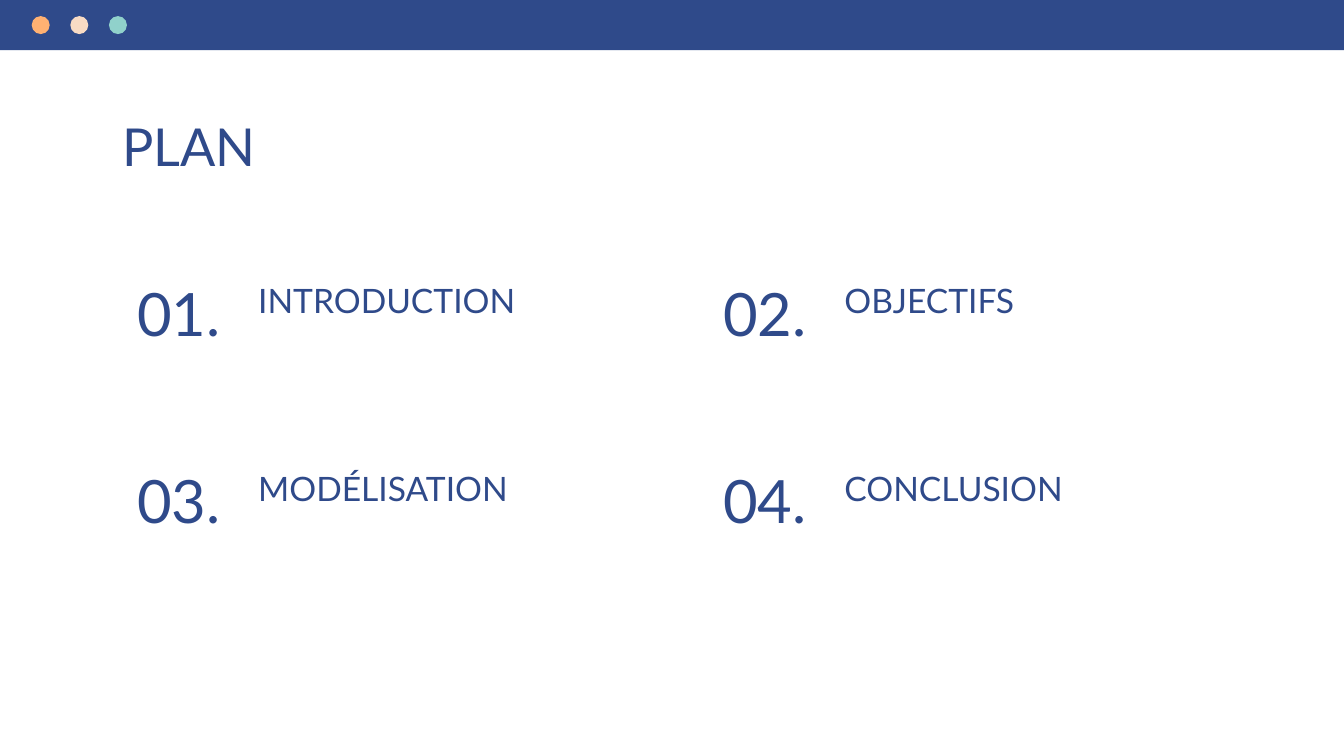
from dataclasses import dataclass

from lxml.etree import SubElement
from pptx import Presentation
from pptx.dml.color import RGBColor as RGB
from pptx.enum.shapes import MSO_SHAPE as Shape
from pptx.enum.text import MSO_ANCHOR as Anchor, MSO_AUTO_SIZE as Fit, PP_ALIGN as Align
from pptx.oxml.ns import qn
from pptx.util import Cm, Pt


@dataclass(frozen=True)
class Theme:
    font: str = "Lato"
    ink: str = "2F4A8A"
    paper: str = "FFFFFF"
    dots: tuple = ("FFB172", "F8DBC4", "90D1CB")
    title: int = 28
    number: int = 32
    label: int = 18


THEME = Theme()
ITEMS = ("INTRODUCTION", "OBJECTIFS", "MODÉLISATION", "CONCLUSION")


def place(shape, box):
    shape.left, shape.top, shape.width, shape.height = (Cm(n) for n in box)


def write(shape, text, size, align=Align.LEFT, anchor=Anchor.TOP):
    frame = shape.text_frame
    frame.text = text
    frame.word_wrap = True
    frame.auto_size = Fit.NONE
    frame.vertical_anchor = anchor
    frame.margin_left = frame.margin_right = Cm(0.25)
    frame.margin_top = frame.margin_bottom = Cm(0.25)
    para = frame.paragraphs[0]
    props = para._p.get_or_add_pPr()
    props.set("marL", "0")
    props.set("indent", "0")
    SubElement(props, qn("a:buNone"))
    para.alignment = align
    para.space_before = Pt(0)
    font = para.runs[0].font
    font.name, font.size, font.bold = THEME.font, Pt(size), False
    font.color.rgb = RGB.from_string(THEME.ink)


def draw(slide, kind, box, color):
    """Add a flat shape without outline."""
    shape = slide.shapes.add_shape(kind, *(Cm(n) for n in box))
    shape.shadow.inherit = False
    shape.fill.solid()
    shape.fill.fore_color.rgb = RGB.from_string(color)
    shape.line.fill.background()


def add_bar(slide, box):
    """Draw the window bar with its three buttons."""
    left, top, _, height = box
    draw(slide, Shape.RECTANGLE, box, THEME.ink)
    size, step = 0.34, 0.73
    for i, color in enumerate(THEME.dots):
        dot = (left + 0.6 + i * step, top + (height - size) / 2, size, size)
        draw(slide, Shape.OVAL, dot, color)


def add_title(slide, box):
    place(slide.shapes.title, box)
    write(slide.shapes.title, "PLAN", THEME.title)


def add_item(slide, label, num, text, box):
    left, top, width, height = box
    side = 2.5
    place(label, (left + side, top, width - side, 1.3))
    write(label, text, THEME.label)
    number = slide.shapes.add_textbox(0, 0, 0, 0)
    place(number, (left, top + 0.15, side, height - 0.15))
    write(number, f"{num:02}.", THEME.number, Align.CENTER, Anchor.BOTTOM)


def add_plan(slide, box):
    """Lay the items out in two columns, row by row."""
    left, top, width, height = box
    wide, high, cols = 9.95, 1.78, 2
    step_x, step_y = width - wide, height - high
    labels = [p for p in slide.placeholders if p.placeholder_format.idx]
    for i, (label, text) in enumerate(zip(labels, ITEMS)):
        row, col = divmod(i, cols)
        cell = (left + col * step_x, top + row * step_y, wide, high)
        add_item(slide, label, i + 1, text, cell)


def main():
    deck = Presentation()
    deck.slide_width, deck.slide_height = Cm(25.4), Cm(14.29)
    # The comparison layout has a title and four text places
    slide = deck.slides.add_slide(deck.slide_layouts[4])
    fill = slide.background.fill
    fill.solid()
    fill.fore_color.rgb = RGB.from_string(THEME.paper)
    add_title(slide, (2.06, 1.9, 21.44, 1.3))
    add_plan(slide, (2.13, 5.05, 21.03, 5.33))
    add_bar(slide, (0, 0, 25.4, 0.95))
    deck.save("out.pptx")


if __name__ == "__main__":
    main()
